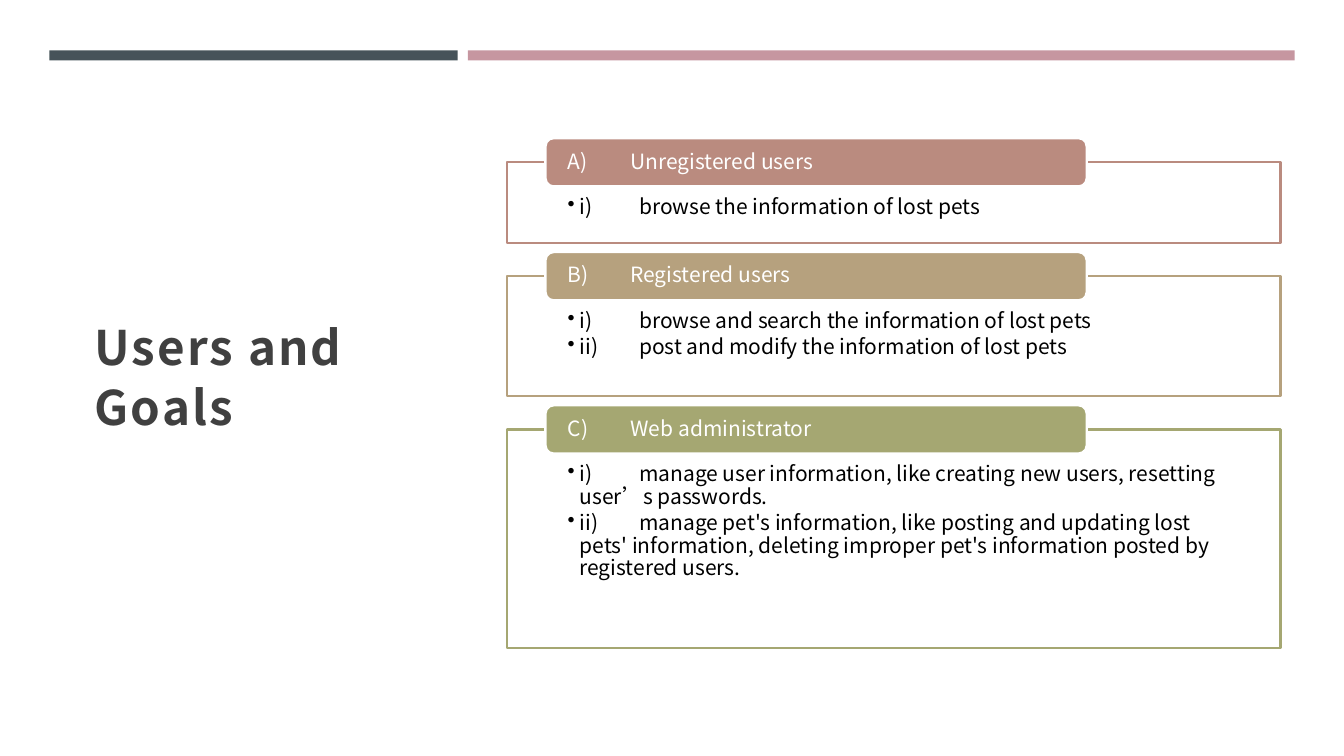
from lxml import etree
from pptx import Presentation
from pptx import util as u
from pptx.dml.color import RGBColor
from pptx.enum import shapes, text
from pptx.oxml.ns import qn

TITLE = "Users and Goals"
WHITE = RGBColor(0xFF, 0xFF, 0xFF)
BLACK = RGBColor(0, 0, 0)
CHARCOAL = RGBColor(0x40, 0x40, 0x40)
SLATE = RGBColor(0x46, 0x53, 0x59)
ROSE = RGBColor(0xC6, 0x96, 0xA0)
CLAY = RGBColor(0xBA, 0x8B, 0x7F)
SAND = RGBColor(0xB6, 0xA1, 0x7E)
OLIVE = RGBColor(0xA5, 0xA7, 0x72)
FONT = "Noto Sans CJK SC"

# colour, frame height, heading, goals
USER_GROUPS = [
    (CLAY, 0.8, "A)\tUnregistered users",
     ["i)\tbrowse the information of lost pets"]),
    (SAND, 1.19, "B)\tRegistered users",
     ["i)\tbrowse and search the information of lost pets",
      "ii)\tpost and modify the information of lost pets"]),
    (OLIVE, 2.17, "C)\tWeb administrator",
     ["i)\tmanage user information, like creating new users, "
      "resetting user’s passwords.",
      "ii)\tmanage pet's information, like posting and updating lost pets' "
      "information, deleting improper pet's information posted by "
      "registered users."]),
]
TOP_BARS = [(0.49, 4.05, SLATE), (4.64, 8.2, ROSE)]  # left, width, colour

FRAME_LEFT, FRAME_TOP, FRAME_WIDTH, FRAME_GAP = 5.03, 1.61, 7.67, 0.33
LABEL_SHIFT, LABEL_RISE = 0.38, 0.24
LABEL_WIDTH, LABEL_HEIGHT = FRAME_WIDTH * 0.7, 0.48
LABEL_TAB, GOAL_TAB, HANG = 0.62, 0.71, 0.12

deck = Presentation()
deck.slide_width, deck.slide_height = u.Inches(13.33), u.Inches(7.5)
page = deck.slides.add_slide(deck.slide_layouts[6])


def add_block(kind, area, fill, line=None):
    block = page.shapes.add_shape(kind, *map(u.Inches, area))
    block.shadow.inherit = False
    block.fill.solid()
    block.fill.fore_color.rgb = fill
    if line is None:
        block.line.fill.background()
    else:
        block.line.color.rgb = line
        block.line.width = u.Pt(1.75)
    return block


def set_frame(box, insets, anchor):
    """Set wrapping, anchor and left, top, right, bottom insets."""
    frame = box.text_frame
    frame.word_wrap = True
    frame.vertical_anchor = anchor
    (frame.margin_left, frame.margin_top,
     frame.margin_right, frame.margin_bottom) = map(u.Inches, insets)
    return frame


def add_tab(para, position, hang=0):
    """Add a tab stop; a hang also gives the paragraph a bullet."""
    props = para._p.get_or_add_pPr()
    if hang:
        props.set("marL", str(u.Inches(hang)))
        props.set("indent", str(-u.Inches(hang)))
        etree.SubElement(props, qn("a:buChar"), char="•")
    stops = etree.SubElement(props, qn("a:tabLst"))
    etree.SubElement(stops, qn("a:tab"), pos=str(u.Inches(position)), algn="l")


def add_span(para, words, size, colour, spacing=0.9, bold=False):
    para.alignment = text.PP_ALIGN.LEFT
    para.line_spacing = spacing
    span = para.add_run()
    span.text = words
    span.font.size = u.Pt(size)
    span.font.name = FONT
    span.font.bold = bold
    span.font.color.rgb = colour
    props = span._r.get_or_add_rPr()
    etree.SubElement(props, qn("a:ea"), typeface=FONT)
    return props


def add_user_group(top, colour, height, heading, goals):
    box = add_block(shapes.MSO_SHAPE.RECTANGLE,
                    (FRAME_LEFT, top, FRAME_WIDTH, height), WHITE, colour)
    frame = set_frame(box, (0.6, 0.34, 0.6, 0.12), text.MSO_ANCHOR.TOP)
    for i, goal in enumerate(goals):
        para = frame.add_paragraph() if i else frame.paragraphs[0]
        add_tab(para, GOAL_TAB, HANG)
        para.space_after = u.Pt(2.25)
        add_span(para, goal, 15, BLACK)

    label = add_block(shapes.MSO_SHAPE.ROUNDED_RECTANGLE,
                      (FRAME_LEFT + LABEL_SHIFT, top - LABEL_RISE,
                       LABEL_WIDTH, LABEL_HEIGHT), colour, WHITE)
    frame = set_frame(label, (0.2, 0, 0.2, 0), text.MSO_ANCHOR.MIDDLE)
    para = frame.paragraphs[0]
    add_tab(para, LABEL_TAB)
    add_span(para, heading, 15, WHITE)


title = page.shapes.add_textbox(*map(u.Inches, (0.82, 1.14, 3.34, 5.15)))
title_frame = set_frame(title, (0.12, 0.12, 0.12, 0.1), text.MSO_ANCHOR.MIDDLE)
add_span(title_frame.paragraphs[0], TITLE, 34, CHARCOAL, 1.05, True).set("spc", "150")

for left, width, colour in TOP_BARS:
    add_block(shapes.MSO_SHAPE.RECTANGLE, (left, 0.5, width, 0.1), colour)

top = FRAME_TOP
for colour, height, heading, goals in USER_GROUPS:
    add_user_group(top, colour, height, heading, goals)
    top += height + FRAME_GAP

deck.save("out.pptx")
